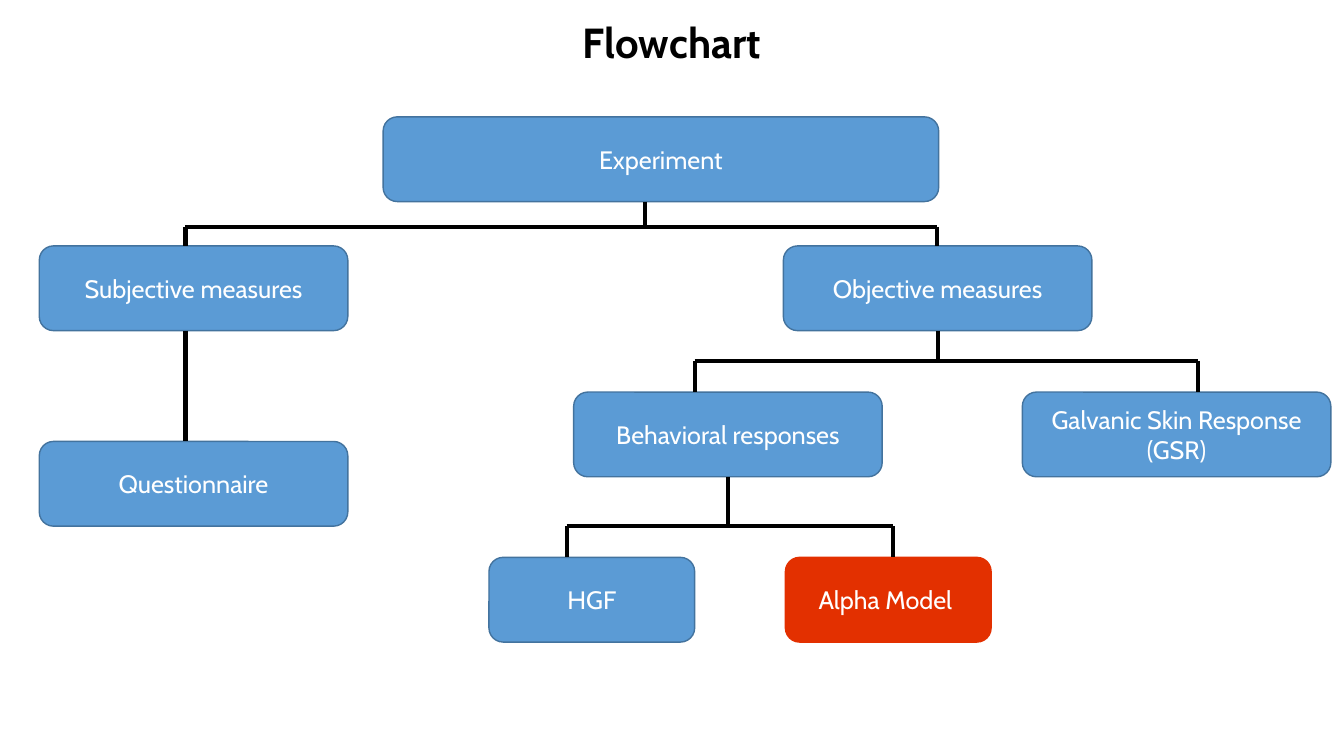
"""Build a one-page flowchart of the measures taken in an experiment."""
from dataclasses import dataclass

from lxml import etree
from pptx import Presentation
from pptx import util as u
from pptx.dml.color import RGBColor
from pptx.enum import shapes, text
from pptx.oxml.ns import qn

PX = 9144
PAGE_WIDTH, PAGE_HEIGHT = 1333, 750
BOX_HEIGHT = 84
WIDE, MEDIUM, NARROW = 551, 306, 204
ROWS = {"top": 116, "measures": 244, "responses": 389, "questions": 438, "models": 553}

COLOURS = {
    "black": "000000",
    "white": "FFFFFF",
    "blue": "5B9BD5",
    "blue_edge": "43739E",
    "red": "E33000",
}
TITLE_FONT = {"name": "Cabin", "size": u.Pt(30), "bold": True}
BOX_FONT = {"name": "Cabin", "size": u.Pt(18), "bold": False}
TITLE_FRAME = {"word_wrap": True, "auto_size": text.MSO_AUTO_SIZE.SHAPE_TO_FIT_TEXT}
BOX_FRAME = {"word_wrap": True, "vertical_anchor": text.MSO_ANCHOR.MIDDLE}


@dataclass(frozen=True)
class Step:
    """A labelled box of the chart."""
    label: str
    left: int
    row: str
    width: int = MEDIUM
    fill: str = "blue"
    edge: str = "blue_edge"


@dataclass(frozen=True)
class Branch:
    """A stem that splits at a bar and drops to its children."""
    stem: int
    parent: str
    bar: int
    children: tuple[int, int]
    row: str


STEPS = (
    Step("Experiment", 380, "top", WIDE),
    Step("Subjective measures", 39, "measures"),
    Step("Objective measures", 777, "measures"),
    Step("Questionnaire", 39, "questions"),
    Step("Behavioral responses", 569, "responses"),
    Step("Galvanic Skin Response (GSR)", 1014, "responses"),
    Step("HGF", 485, "models", NARROW),
    Step("Alpha Model ", 779, "models", NARROW, "red", "red"),
)
BRANCHES = (
    Branch(640, "top", 225, (184, 929), "measures"),
    Branch(930, "measures", 358, (689, 1188), "responses"),
    Branch(722, "responses", 522, (562, 886), "models"),
)


def px(length: int) -> u.Emu:
    """Turn whole px into EMU."""
    return u.Emu(length * PX)


def colour(name: str) -> RGBColor:
    """Look up a colour by name."""
    return RGBColor.from_string(COLOURS[name])


def apply(target, values: dict) -> None:
    """Set every named attribute on the target."""
    for name, value in values.items():
        setattr(target, name, value)


def write(box, words: str, frame_format: dict, font_format: dict, ink: str) -> None:
    """Put one centred line of text in a box."""
    frame = box.text_frame
    apply(frame, frame_format)
    para = frame.paragraphs[0]
    para.alignment = text.PP_ALIGN.CENTER
    span = para.add_run()
    span.text = words
    apply(span.font, font_format)
    span.font.color.rgb = colour(ink)


def draw_title(page, words: str) -> None:
    """Draw the heading across the page."""
    box = page.shapes.add_textbox(px(0), px(11), px(PAGE_WIDTH), px(61))
    write(box, words, TITLE_FRAME, TITLE_FONT, "black")


def draw_step(page, step: Step) -> None:
    """Draw one rounded box with its label."""
    box = page.shapes.add_shape(
        shapes.MSO_SHAPE.ROUNDED_RECTANGLE,
        px(step.left), px(ROWS[step.row]), px(step.width), px(BOX_HEIGHT),
    )
    box.shadow.inherit = False
    box.fill.solid()
    box.fill.fore_color.rgb = colour(step.fill)
    box.line.color.rgb = colour(step.edge)
    box.line.width = u.Pt(1)
    write(box, step.label, BOX_FRAME, BOX_FONT, "white")


def draw_line(page, start: tuple[int, int], end: tuple[int, int]) -> None:
    """Draw a plain black line between two points."""
    line = page.shapes.add_connector(
        shapes.MSO_CONNECTOR.STRAIGHT, *map(px, start + end)
    )
    line.line.color.rgb = colour("black")
    line.line.width = u.Pt(3)
    etree.SubElement(line._element.spPr, qn("a:effectLst"))


def draw_branch(page, branch: Branch) -> None:
    """Draw the bar, the stem and the drops of a branch."""
    first, last = branch.children
    draw_line(page, (first, branch.bar), (last, branch.bar))
    draw_line(page, (branch.stem, ROWS[branch.parent] + BOX_HEIGHT), (branch.stem, branch.bar))
    for child in branch.children:
        draw_line(page, (child, branch.bar), (child, ROWS[branch.row]))


def main() -> None:
    """Build and save the deck."""
    deck = Presentation()
    apply(deck, {"slide_width": px(PAGE_WIDTH), "slide_height": px(PAGE_HEIGHT)})
    page = deck.slides.add_slide(deck.slide_layouts[6])
    draw_title(page, "Flowchart")
    for step in STEPS:
        draw_step(page, step)
    for branch in BRANCHES:
        draw_branch(page, branch)
    draw_line(page, (184, ROWS["measures"] + BOX_HEIGHT), (184, ROWS["questions"]))
    deck.save("out.pptx")


if __name__ == "__main__":
    main()
